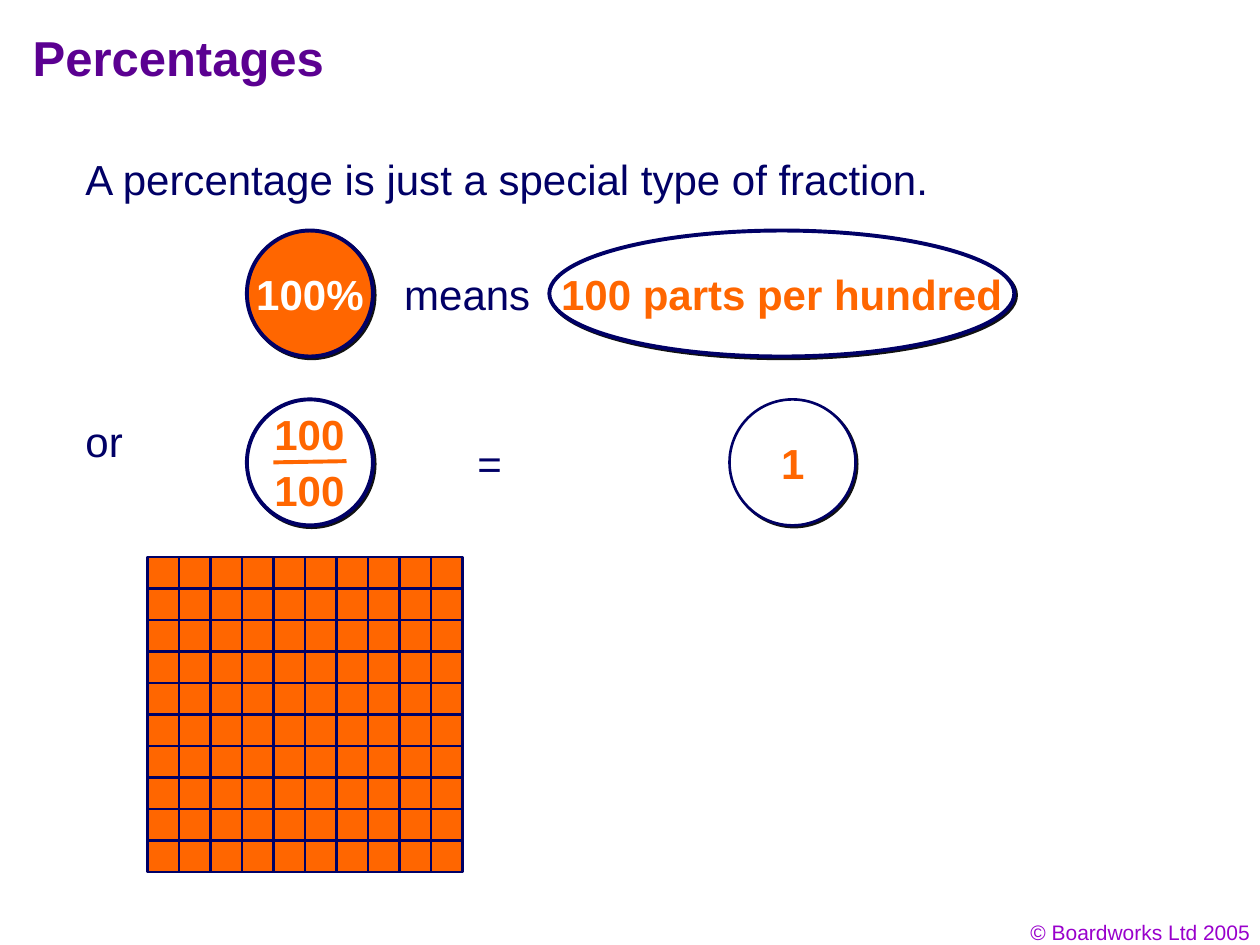
from lxml import etree
from pptx import Presentation
from pptx.dml.color import RGBColor
from pptx.enum.shapes import MSO_CONNECTOR, MSO_SHAPE
from pptx.enum.text import MSO_ANCHOR, MSO_AUTO_SIZE, PP_ALIGN
from pptx.oxml import parse_xml
from pptx.oxml.ns import nsdecls, qn
from pptx.util import Inches, Pt

LEFT, RIGHT = PP_ALIGN.LEFT, PP_ALIGN.RIGHT
MIDDLE = MSO_ANCHOR.MIDDLE
FIT_SHAPE, NO_FIT = MSO_AUTO_SIZE.SHAPE_TO_FIT_TEXT, MSO_AUTO_SIZE.NONE
ELLIPSE, SQUARE = MSO_SHAPE.OVAL, MSO_SHAPE.RECTANGLE
STRAIGHT = MSO_CONNECTOR.STRAIGHT

FONT = "Arial"
ORANGE, NAVY, INK, WHITE = "FF6600", "000066", "010066", "FFFFFF"
TITLE_PURPLE, FOOTER_PURPLE, SHADOW = "5B0091", "9900CC", "111111"
TEXT_HEIGHT = 0.5


def color(value):
    return RGBColor.from_string(value)


def inches(box):
    return [Inches(length) for length in box]


def style(para, size, value, bold=False, align=LEFT):
    para.alignment = align
    para.font.name = FONT
    para.font.size = Pt(size)
    para.font.bold = bold
    para.font.color.rgb = color(value)


def add_text(shapes, box, text, value=INK, bold=False, size=24, align=LEFT, wrap=False):
    frame = shapes.add_textbox(*inches(box)).text_frame
    frame.word_wrap = wrap
    frame.auto_size = FIT_SHAPE
    frame.text = text
    style(frame.paragraphs[0], size, value, bold, align)


def add_filled(shapes, kind, box, fill, line_width):
    shape = shapes.add_shape(kind, *inches(box))
    shape.shadow.inherit = False
    shape.fill.solid()
    shape.fill.fore_color.rgb = color(fill)
    shape.line.color.rgb = color(NAVY)
    shape.line.width = Pt(line_width)
    return shape


def add_ellipse(shapes, box, fill=WHITE, line_width=2.25):
    """Outlined ellipse with a hard shadow to the lower right."""
    ellipse = add_filled(shapes, ELLIPSE, box, fill, line_width)
    ellipse.element.spPr.find(qn("a:effectLst")).append(parse_xml(
        f'<a:outerShdw {nsdecls("a")} dist="{Pt(1.4)}" dir="2700000" algn="ctr" '
        f'rotWithShape="0"><a:srgbClr val="{SHADOW}"/></a:outerShdw>'))


def add_badge(slide, box, text, text_width, value=ORANGE, fill=WHITE, line_width=2.25):
    """Ellipse with one bold label in its centre."""
    shapes = slide.shapes.add_group_shape().shapes
    left, top, width, height = box
    add_ellipse(shapes, box, fill, line_width)
    label_box = (left + (width - text_width) / 2, top + (height - TEXT_HEIGHT) / 2,
                 text_width, TEXT_HEIGHT)
    add_text(shapes, label_box, text, value, bold=True)


def add_fraction(slide, box, numerator, denominator):
    shapes = slide.shapes.add_group_shape().shapes
    left, top, _, _ = box
    add_ellipse(shapes, box)
    ends = (left + 0.21, top + 0.5, left + 0.79, top + 0.49)
    bar = shapes.add_connector(STRAIGHT, *inches(ends))
    bar.line.color.rgb = color(ORANGE)
    bar.line.width = Pt(2.25)
    etree.SubElement(bar.element.spPr, qn("a:effectLst"))
    for text, offset in ((numerator, 0.02), (denominator, 0.47)):
        add_text(shapes, (left + 0.12, top + offset, 0.77, TEXT_HEIGHT), text, ORANGE, bold=True)


def add_hundred_square(slide, box, count=10):
    shapes = slide.shapes.add_group_shape().shapes
    left, top, width, height = box
    cell_width, cell_height = width / count, height / count
    for column in range(count):
        for row in range(count):
            cell = (left + column * cell_width, top + row * cell_height, cell_width, cell_height)
            add_filled(shapes, SQUARE, cell, ORANGE, 1.5)


def set_title(slide, box, text):
    title = slide.shapes.title
    title.left, title.top, title.width, title.height = inches(box)
    frame = title.text_frame
    frame.text = text
    frame.word_wrap = True
    frame.auto_size = NO_FIT
    frame.vertical_anchor = MIDDLE
    frame.margin_bottom = Inches(0.13)
    style(frame.paragraphs[0], 28, TITLE_PURPLE, bold=True)


def add_percentage_slide(deck):
    slide = deck.slides.add_slide(deck.slide_layouts[5])
    set_title(slide, (0.16, 0.16, 8.5, 0.67), "Percentages")
    add_text(slide.shapes, (7.69, 7.25, 2.33, 0.3), "© Boardworks Ltd 2005",
             FOOTER_PURPLE, size=12, align=RIGHT, wrap=True)
    add_text(slide.shapes, (0.58, 1.17, 8.42, TEXT_HEIGHT),
             "A percentage is just a special type of fraction.", wrap=True)

    # Percentage in words
    add_badge(slide, (1.96, 1.83, 1, 1), "100%", 1.05, WHITE, ORANGE)
    add_text(slide.shapes, (3.11, 2.08, 1.2, TEXT_HEIGHT), "means")
    add_badge(slide, (4.36, 1.83, 3.69, 1), "100 parts per hundred", 3.7)

    # Percentage as a fraction
    add_text(slide.shapes, (0.58, 3.25, 0.51, TEXT_HEIGHT), "or")
    add_fraction(slide, (1.96, 3.17, 1, 1), "100", "100")
    add_text(slide.shapes, (3.69, 3.42, 0.39, TEXT_HEIGHT), "=")
    add_badge(slide, (5.79, 3.17, 1, 1), "1", 0.38, line_width=1.5)

    # Percentage as a shaded square
    add_hundred_square(slide, (1.17, 4.42, 2.5, 2.5))


def main():
    deck = Presentation()
    deck.slide_width, deck.slide_height = Inches(10), Inches(7.5)
    add_percentage_slide(deck)
    deck.save("out.pptx")


if __name__ == "__main__":
    main()
